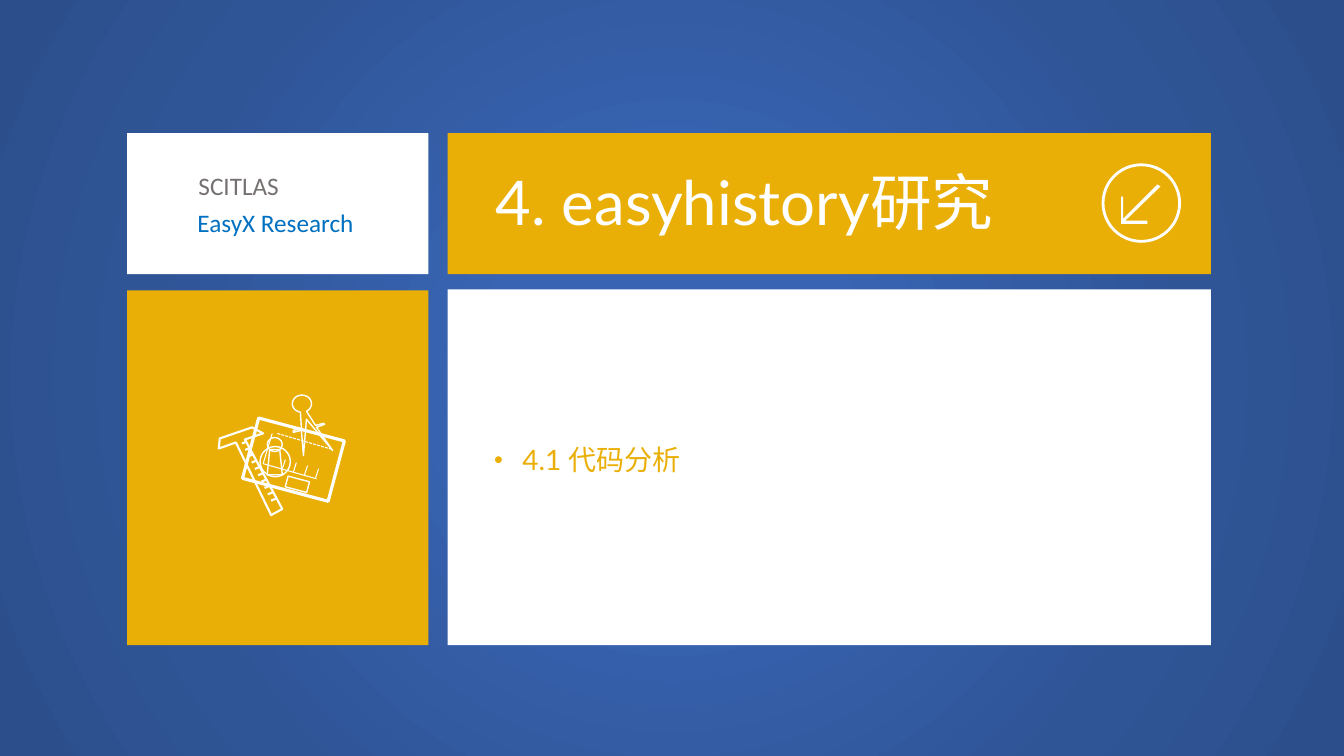
from math import cos, sin, radians

from lxml.etree import SubElement
from pptx import Presentation
from pptx.dml.color import RGBColor
from pptx.enum.dml import MSO_LINE
from pptx.enum.shapes import MSO_CONNECTOR, MSO_SHAPE
from pptx.oxml import parse_xml
from pptx.oxml.ns import nsdecls, qn
from pptx.util import Inches, Pt

WHITE = RGBColor(0xFF, 0xFF, 0xFF)
GOLD = RGBColor(0xEA, 0xAF, 0x07)
BLUE = RGBColor(0x00, 0x70, 0xC0)
GRAY = RGBColor(0x76, 0x71, 0x71)

# Content: words, box, size, font, colour
WIDTH, HEIGHT = 13.33, 7.5
TITLE = ("4. easyhistory研究", (4.82, 1.58, 6.5, 0.84), 44, "Lato", WHITE)
TOPIC = ("4.1 代码分析", (4.83, 4.36, 6.49, 0.46), 20, "Lato", GOLD)
LABELS = [
    ("EasyX Research", (1.86, 2.01, 2.18, 0.4), 18, "Calibri", BLUE),
    ("SCITLAS", (1.87, 1.64, 1.72, 0.4), 18, "Calibri", GRAY),
]
BACKDROP = [(0, "3864B3"), (23, "3864B3"), (69, "2F5597"), (97, "2C4F8C")]

# Two columns and two rows of tiles, as (start, length)
LEFT, RIGHT = (1.26, 2.99), (4.44, 7.57)
TOP, BOTTOM_LEFT, BOTTOM_RIGHT = (1.32, 1.4), (2.88, 3.52), (2.87, 3.53)
TILES = [
    (RIGHT, TOP, GOLD),
    (RIGHT, BOTTOM_RIGHT, WHITE),
    (LEFT, BOTTOM_LEFT, GOLD),
    (LEFT, TOP, WHITE),
]

# Icon outlines
ARROW = [(11.38, 2.19), (11.38, 2.22), (11.12, 2.22), (11.12, 1.95), (11.14, 1.95),
         (11.14, 2.17), (11.48, 1.83), (11.51, 1.85), (11.16, 2.19)]
COMPASS_LEGS = [(2.98, 4.09), (2.99, 4.25), (2.91, 4.27), (2.91, 4.29), (2.99, 4.27),
                (3.01, 4.52), (3.04, 4.16), (3.3, 4.47), (3.14, 4.24), (3.22, 4.21),
                (3.21, 4.2), (3.13, 4.22), (3.04, 4.08)]
COMPASS_HEAD = [(2.995 + 0.095 * cos(radians(a)), 4.005 + 0.085 * sin(radians(a)))
                for a in range(50, -260, -10)]
T_SQUARE = [(2.34, 4.39), (2.69, 5.11), (2.8, 5.05), (2.43, 4.36), (2.61, 4.3),
            (2.5, 4.24), (2.18, 4.35), (2.17, 4.45)]
# Sketch shapes: kind, box, line width, rotation
SKETCH = [
    (MSO_SHAPE.OVAL, (2.65, 4.34, 0.15, 0.14), 1, 0),
    (MSO_SHAPE.TRAPEZOID, (2.65, 4.46, 0.15, 0.25), 1, 0),
    (MSO_SHAPE.RECTANGLE, (2.47, 4.25, 0.88, 0.62), 2.25, 15),
    (MSO_SHAPE.OVAL, (2.58, 4.43, 0.3, 0.3), 1, 0),
    (MSO_SHAPE.RECTANGLE, (2.84, 4.75, 0.22, 0.11), 1, 15),
]
AXES = [(2.61, 4.6, 3.14, 4.75), (2.7, 4.3, 2.61, 4.6)]
DASHED = (2.75, 4.3, 3.3, 4.46)
# Tick rows: count, first start, step, tick vector, line width
TICKS = [
    (4, (2.8, 4.65), (0.11, 0.03), (0.03, -0.09), 0.75),
    (10, (2.45, 4.38), (0.032, 0.063), (-0.05, 0.02), 1.5),
]


def inches(values):
    return [Inches(v) for v in values]


def paint(sp, fill=None, line=None):
    sp.shadow.inherit = False
    if fill is None:
        sp.fill.background()
    else:
        sp.fill.solid()
        sp.fill.fore_color.rgb = fill
    if line is None:
        sp.line.fill.background()
    else:
        sp.line.color.rgb = WHITE
        sp.line.width = Pt(line)


def add_shape(shapes, kind, box, fill=None, line=None, rotation=0):
    sp = shapes.add_shape(kind, *inches(box))
    sp.rotation = rotation
    paint(sp, fill, line)
    return sp


def add_outline(shapes, points, fill=None, line=None):
    points = [inches(pt) for pt in points]
    builder = shapes.build_freeform(*points[0])
    builder.add_line_segments(points[1:], close=True)
    paint(builder.convert_to_shape(), fill, line)


def add_line(shapes, ends, width):
    c = shapes.add_connector(MSO_CONNECTOR.STRAIGHT, *inches(ends))
    c.line.color.rgb = WHITE
    c.line.width = Pt(width)
    SubElement(c._element.spPr, qn("a:effectLst"))
    return c


def add_text(shapes, words, box, size, font, color):
    tf = shapes.add_textbox(*inches(box)).text_frame
    tf.word_wrap = True
    r = tf.paragraphs[0].add_run()
    r.text = words
    r.font.size, r.font.name = Pt(size), font
    r.font.color.rgb = color
    return tf


def main():
    prs = Presentation()
    prs.slide_width, prs.slide_height = Inches(WIDTH), Inches(HEIGHT)
    s = prs.slides.add_slide(prs.slide_layouts[6])

    # Backdrop with a circular gradient
    sp = add_shape(s.shapes, MSO_SHAPE.RECTANGLE, (0, 0, WIDTH, HEIGHT), WHITE)
    stops = "".join(f'<a:gs pos="{pos * 1000}"><a:srgbClr val="{rgb}"/></a:gs>'
                    for pos, rgb in BACKDROP)
    gradient = parse_xml(
        f'<a:gradFill {nsdecls("a")} rotWithShape="1"><a:gsLst>{stops}</a:gsLst>'
        '<a:path path="circle"><a:fillToRect l="50000" t="50000" r="50000" b="50000"/>'
        '</a:path></a:gradFill>')
    spPr = sp._element.spPr
    spPr.replace(spPr.find(qn("a:solidFill")), gradient)

    # Tiles
    for (x, w), (y, h), color in TILES:
        add_shape(s.shapes, MSO_SHAPE.RECTANGLE, (x, y, w, h), color)

    # Title with its arrow icon
    add_shape(s.shapes, MSO_SHAPE.OVAL, (10.94, 1.635, 0.76, 0.76), line=2)
    add_outline(s.shapes, ARROW, fill=WHITE)
    add_text(s.shapes, *TITLE)

    # Bulleted topic
    tf = add_text(s.shapes, *TOPIC)
    tf.margin_left = tf.margin_right = tf.margin_top = tf.margin_bottom = Inches(0.07)
    p = tf.paragraphs[0]
    p.line_spacing = 0.9
    pPr = p._p.get_or_add_pPr()
    pPr.set("marL", str(Inches(0.28)))
    pPr.set("indent", str(-Inches(0.28)))
    SubElement(pPr, qn("a:buSzPct"), val="90000")
    SubElement(pPr, qn("a:buFont"), typeface="Arial")
    SubElement(pPr, qn("a:buChar"), char="•")

    # Drafting icon
    icon = s.shapes.add_group_shape().shapes
    for kind, box, line, rotation in SKETCH:
        sp = add_shape(icon, kind, box, line=line, rotation=rotation)
        if kind == MSO_SHAPE.TRAPEZOID:
            sp.adjustments[0] = 0.17
    for ends in AXES:
        add_line(icon, ends, 0.75)
    add_line(icon, DASHED, 0.75).line.dash_style = MSO_LINE.SQUARE_DOT
    add_outline(icon, COMPASS_LEGS + COMPASS_HEAD, line=1)
    add_outline(icon, T_SQUARE, line=1.5)
    for count, (x0, y0), (step_x, step_y), (dx, dy), width in TICKS:
        for i in range(count):
            x, y = x0 + i * step_x, y0 + i * step_y
            add_line(icon, (x, y, x + dx, y + dy), width)

    # Labels
    for label in LABELS:
        add_text(s.shapes, *label)

    prs.save("out.pptx")


if __name__ == "__main__":
    main()
